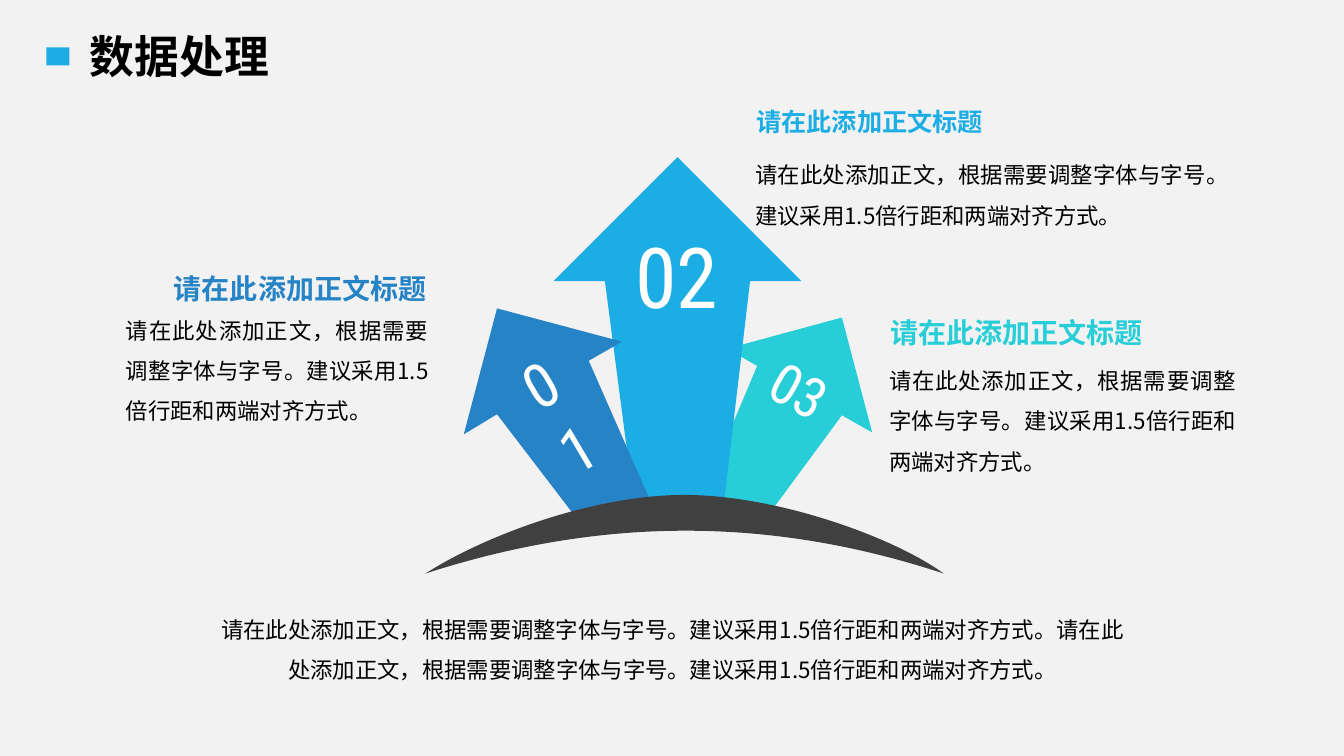
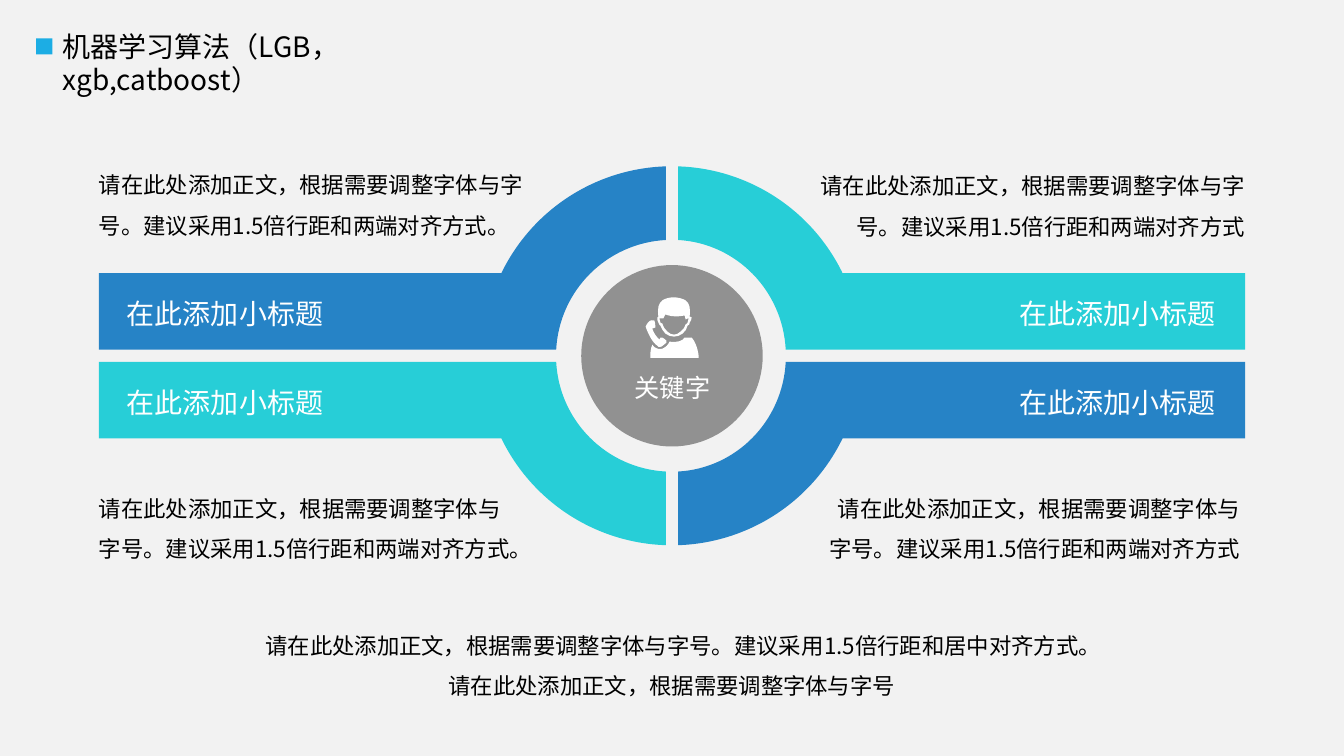
"""Build two slides: growing arrows for data processing and a four-part ring for algorithms."""
import math

import lxml.etree
import pptx
import pptx.dml.color
import pptx.enum.shapes
import pptx.enum.text
import pptx.oxml.ns
import pptx.util

ALIGN = pptx.enum.text.PP_ALIGN
SHAPE = pptx.enum.shapes.MSO_SHAPE
COLUMNS, ROWS = 13.33, 7.5
CELL = pptx.util.Inches(1)

CJK = "Noto Sans CJK SC"
THEME = {
    "colour": {
        "paper": "F2F2F2", "ink": "000000", "white": "FFFFFF", "hill": "404040",
        "sky": "1CADE4", "blue": "2683C6", "teal": "27CED7",
    },
    "text": {
        "title": {"size": 32, "bold": True, "name": CJK, "insets": (0.2, 0.1)},
        "subject": {"size": 20, "name": CJK, "insets": (0.1, 1.83)},
        "heading": {"size": 20, "bold": True, "name": CJK, "spacing": 1.2, "insets": (0, 0), "wrap": False},
        "small heading": {"size": 18, "bold": True, "name": CJK, "spacing": 1.2, "insets": (0, 0), "wrap": False},
        "body": {"size": 16, "name": CJK, "spacing": 1.5, "insets": (0, 0)},
        "band": {"size": 20, "name": "Calibri", "wrap": False},
        "keyword": {"size": 18, "name": "Calibri", "wrap": False},
        "number 40": {"size": 40, "name": "Roboto Condensed", "wrap": False},
        "number 44": {"size": 44, "name": "Roboto Condensed"},
        "number 60": {"size": 60, "name": "Roboto Condensed", "wrap": False},
    },
}

HEADING = "请在此添加正文标题"
BAND = "在此添加小标题"
OPENING = "请在此处添加正文，根据需要调整字体与字号。"
UNENDED = OPENING + "建议采用1.5倍行距和两端对齐方式"
BODY = UNENDED + "。"

TITLES = [
    {"text": "数据处理", "style": "title", "box": (0.69, 0.24, 3.07, 0.64), "marker": (0.46, 0.47, 0.23, 0.18)},
    {"text": "机器学习算法（LGB，xgb,catboost）", "style": "subject", "box": (0.52, 0.24, 4.98, 0.44),
     "marker": (0.36, 0.38, 0.16, 0.16)},
]

ARROWS = [
    {"colour": "teal", "number": "03", "style": "number 40", "number_box": (7.53, 3.48, 0.8, 0.77), "turn": 29.3,
     "outline": [(8.35, 3.15), (8.65, 4.29), (8.35, 4.12), (7.65, 5.07), (7.42, 5.02),
                 (7.32, 5.01, 7.22, 5, 7.11, 4.99), (6.94, 4.98), (7.51, 3.63), (7.21, 3.46)],
     "heading": "heading", "heading_box": (8.82, 3.01, 2.52, 0.47), "align": ALIGN.CENTER,
     "body_box": (8.82, 3.46, 3.44, 1.27)},
    {"colour": "sky", "number": "02", "style": "number 60", "number_box": (6.18, 2.18, 1.07, 1.11), "turn": 0,
     "outline": [(6.72, 1.56), (7.95, 2.79), (7.44, 2.79), (7.18, 5), (7.12, 4.99),
                 (7.01, 4.98, 6.9, 4.98, 6.79, 4.98), (6.68, 4.98, 6.57, 4.98, 6.47, 4.99), (6.29, 5.01),
                 (6, 2.79), (5.49, 2.79)],
     "heading": "small heading", "heading_box": (7.49, 0.95, 2.27, 0.43), "align": ALIGN.CENTER,
     "body_box": (7.49, 1.42, 4.48, 0.86)},
    {"colour": "blue", "number": "01", "style": "number 44", "number_box": (4.97, 3.39, 0.77, 0.84), "turn": 329.3,
     "outline": [(4.93, 3.06), (6.17, 3.39), (5.84, 3.58), (6.46, 4.99), (6.17, 5.02),
                 (6.02, 5.05, 5.89, 5.08, 5.77, 5.11), (5.71, 5.13), (4.93, 4.11), (4.6, 4.31)],
     "heading": "heading", "heading_box": (1.71, 2.58, 2.52, 0.47), "align": ALIGN.RIGHT,
     "body_box": (1.25, 2.96, 3, 1.27)},
]
HILL = [(4.22, 5.69), (4.83, 5.3, 5.9, 4.91, 6.79, 4.91), (7.69, 4.91, 8.85, 5.32, 9.36, 5.69),
        (7.48, 5.07, 5.8, 5.18, 4.22, 5.69)]
ARROWS_SUMMARY = {"text": BODY * 2, "box": (2.14, 5.93, 9.06, 0.86)}

RING = {"centre": (COLUMNS / 2, 3.53), "outer": 1.88, "inner": {-1: 1.15, 1: 1.13}, "depth": 1.15,
        "gap": 0.06, "band": 0.82, "reach": COLUMNS / 2 - 0.98, "hub": 0.9}
BAND_LABEL = {"size": (2.17, 0.44), "margin": {-1: 0.18, 1: 0.19}, "tops": {-1: 2.89, 1: 3.78}}
QUARTERS = [
    {"side": (-1, -1), "colour": "blue", "paragraphs": [BODY], "box": (0.98, 1.52, 4.23, 0.86)},
    {"side": (-1, 1), "colour": "teal", "box": (0.98, 4.73, 4.41, 0.86),
     "paragraphs": ["请在此处添加正文，根据需要调整字体与", "字号。建议采用1.5倍行距和两端对齐方式。"]},
    {"side": (1, -1), "colour": "teal", "paragraphs": [UNENDED], "box": (8.05, 1.53, 4.3, 0.86)},
    {"side": (1, 1), "colour": "blue", "paragraphs": [UNENDED], "box": (8.16, 4.73, 4.14, 1.27)},
]
KEYWORD = {"text": "关键字", "box": (6.19, 3.64, 0.96, 0.4)}
RING_SUMMARY = {"text": OPENING + "建议采用1.5倍行距和居中对齐方式。" + OPENING.rstrip("。"),
                "box": (2.57, 6.09, 8.19, 0.86)}

CALLER_ORIGIN = (6.4, 2.94)
CALLER = {
    "head": [(44, 20), (46, 21), (46, 23, 45, 25, 44, 26), (44, 28, 44, 28, 42, 29), (41, 32, 40, 35, 37, 37),
             (32, 41, 25, 41, 20, 37), (18, 35, 16, 32, 15, 29), (14, 29, 14, 28, 13, 26),
             (12, 25, 12, 23, 12, 21), (13, 20), (12, 12, 13, 7, 17, 4), (23, 0, 33, 0, 40, 4),
             (44, 7, 45, 12, 44, 20)],
    "handset": [(12, 49), (12, 50, 14, 51, 16, 50), (18, 49, 19, 47, 21, 46), (21, 44), (20, 43, 19, 42, 17, 41),
                (16, 40, 16, 41, 15, 41), (14, 43), (11, 40, 8, 36, 7, 32), (10, 31), (10, 28, 10, 26, 9, 24),
                (5, 23, 3, 25, 2, 27), (0, 29, 0, 31, 1, 32), (3, 37, 7, 46, 12, 49)],
    "shoulders": [(24, 45), (33, 46, 37, 44, 39, 41), (46, 41), (50, 45, 53, 55, 53, 61), (5, 61),
                  (5, 58, 5, 52, 7, 48), (8, 49, 9, 51, 10, 51), (12, 52, 14, 53, 17, 52),
                  (19, 51, 21, 50, 23, 47)],
    "face": [(42, 22), (40, 23), (40, 21, 39, 20, 39, 19), (34, 20, 28, 21, 20, 18), (19, 19, 19, 21, 18, 22),
             (14, 22), (15, 26), (15, 26, 16, 27, 17, 27), (18, 31, 20, 33, 22, 35), (26, 39, 31, 39, 35, 35),
             (38, 33, 39, 31, 40, 28), (42, 27, 42, 26, 42, 26), (42, 24, 43, 24, 43, 22)],
}


def emu(length):
    return round(length * CELL)


def paint(shape, colour, alpha=None):
    shape.shadow.inherit = False
    shape.fill.solid()
    shape.fill.fore_color.rgb = pptx.dml.color.RGBColor.from_string(THEME["colour"][colour])
    shape.line.fill.background()
    if alpha is not None:
        tint = shape.fill._xPr.find(".//" + pptx.oxml.ns.qn("a:srgbClr"))
        lxml.etree.SubElement(tint, pptx.oxml.ns.qn("a:alpha")).set("val", str(alpha * 1000))


def preset(slide, kind, box, colour, alpha=None):
    paint(slide.shapes.add_shape(kind, *map(emu, box)), colour, alpha)


def draw(slide, outlines, colour):
    qn = pptx.oxml.ns.qn
    builder = None
    for outline in outlines:
        start, *rest = [tuple(map(emu, step[-2:])) for step in outline]
        if builder is None:
            builder = slide.shapes.build_freeform(*start, scale=1.0)
        else:
            builder.move_to(*start)
        builder.add_line_segments(rest, close=True)
    shape = builder.convert_to_shape()
    steps = [step for outline in outlines for step in outline]
    segments = list(shape._element.iter(qn("a:moveTo"), qn("a:lnTo")))
    for segment, step in zip(segments, steps):
        if len(step) == 6:
            curve = lxml.etree.Element(qn("a:cubicBezTo"))
            for x, y in zip(step[::2], step[1::2]):
                point = lxml.etree.SubElement(curve, qn("a:pt"))
                point.set("x", str(emu(x) - shape.left))
                point.set("y", str(emu(y) - shape.top))
            segment.getparent().replace(segment, curve)
    paint(shape, colour)


def write(slide, paragraphs, style, box, colour="ink", align=ALIGN.LEFT, turn=0):
    look = THEME["text"][style]
    holder = slide.shapes.add_textbox(*map(emu, box))
    holder.rotation = turn
    frame = holder.text_frame
    left, right = map(emu, look.get("insets", (0.1, 0.1)))
    frame_format = {"word_wrap": look.get("wrap", True), "margin_left": left, "margin_right": right,
                    "margin_top": emu(0.05), "margin_bottom": emu(0.05)}
    for key, value in frame_format.items():
        setattr(frame, key, value)
    font_format = {"size": pptx.util.Pt(look["size"]), "bold": look.get("bold", False), "name": look["name"]}
    for index, text in enumerate(paragraphs):
        paragraph = frame.add_paragraph() if index else frame.paragraphs[0]
        paragraph.alignment = align
        paragraph.line_spacing = look.get("spacing", 1.0)
        run = paragraph.add_run()
        run.text = text
        for key, value in font_format.items():
            setattr(run.font, key, value)
        run.font.color.rgb = pptx.dml.color.RGBColor.from_string(THEME["colour"][colour])
        east_asian = lxml.etree.SubElement(run.font._element, pptx.oxml.ns.qn("a:ea"))
        east_asian.set("typeface", CJK)


def start_slide(deck, title):
    slide = deck.slides.add_slide(deck.slide_layouts[6])
    preset(slide, SHAPE.RECTANGLE, title["marker"], "sky")
    write(slide, [title["text"]], title["style"], title["box"])
    return slide


def build_arrows(slide):
    for arrow in ARROWS:
        draw(slide, [arrow["outline"]], arrow["colour"])
    draw(slide, [HILL], "hill")
    for arrow in ARROWS:
        write(slide, [arrow["number"]], arrow["style"], arrow["number_box"], "white", ALIGN.CENTER, arrow["turn"])
        write(slide, [HEADING], arrow["heading"], arrow["heading_box"], arrow["colour"], arrow["align"])
        write(slide, [BODY], "body", arrow["body_box"], align=ALIGN.JUSTIFY)
    write(slide, [ARROWS_SUMMARY["text"]], "body", ARROWS_SUMMARY["box"], align=ALIGN.CENTER)


def arc(wide, high, first, last, pieces):
    def at(angle, pull=0):
        cos, sin = math.cos(angle), math.sin(angle)
        return wide * (cos - pull * sin), high * (sin + pull * cos)

    turn = (last - first) / pieces
    pull = 4 / 3 * math.tan(turn / 4)
    angles = [first + turn * n for n in range(pieces + 1)]
    return [at(first)] + [at(a, pull) + at(b, -pull) + at(b) for a, b in zip(angles, angles[1:])]


def quarter_outline(side):
    gap, band, reach = RING["gap"], RING["band"], RING["reach"]
    outer, inner, depth = RING["outer"], RING["inner"][side[0]], RING["depth"]
    steps = arc(outer, outer, math.acos(gap / outer), math.asin(band / outer), 2)
    steps += [(reach, band), (reach, gap)]
    steps += arc(inner, depth, math.asin(gap / depth), math.acos(gap / inner), 1)
    return [tuple(RING["centre"][n % 2] + side[n % 2] * value for n, value in enumerate(step)) for step in steps]


def build_ring(slide):
    (middle, level), hub = RING["centre"], RING["hub"]
    width, height = BAND_LABEL["size"]
    for quarter in QUARTERS:
        across, down = quarter["side"]
        align = ALIGN.LEFT if across < 0 else ALIGN.RIGHT
        label_middle = middle + across * (RING["reach"] - BAND_LABEL["margin"][across] - width / 2)
        label_box = (label_middle - width / 2, BAND_LABEL["tops"][down], width, height)
        draw(slide, [quarter_outline(quarter["side"])], quarter["colour"])
        write(slide, [BAND], "band", label_box, "white", align)
        write(slide, quarter["paragraphs"], "body", quarter["box"], align=align)
    preset(slide, SHAPE.OVAL, (middle - hub, level - hub, 2 * hub, 2 * hub), "ink", alpha=40)
    write(slide, [KEYWORD["text"]], "keyword", KEYWORD["box"], "white", ALIGN.CENTER)
    write(slide, [RING_SUMMARY["text"]], "body", RING_SUMMARY["box"], align=ALIGN.CENTER)
    caller = [[tuple(CALLER_ORIGIN[n % 2] + value / 100 for n, value in enumerate(step)) for step in part]
              for part in CALLER.values()]
    draw(slide, caller, "white")


def main():
    deck = pptx.Presentation()
    deck.slide_width, deck.slide_height = emu(COLUMNS), emu(ROWS)
    paper = deck.slide_master.background.fill
    paper.solid()
    paper.fore_color.rgb = pptx.dml.color.RGBColor.from_string(THEME["colour"]["paper"])
    for title, build in zip(TITLES, (build_arrows, build_ring)):
        build(start_slide(deck, title))
    deck.save("out.pptx")


if __name__ == "__main__":
    main()
